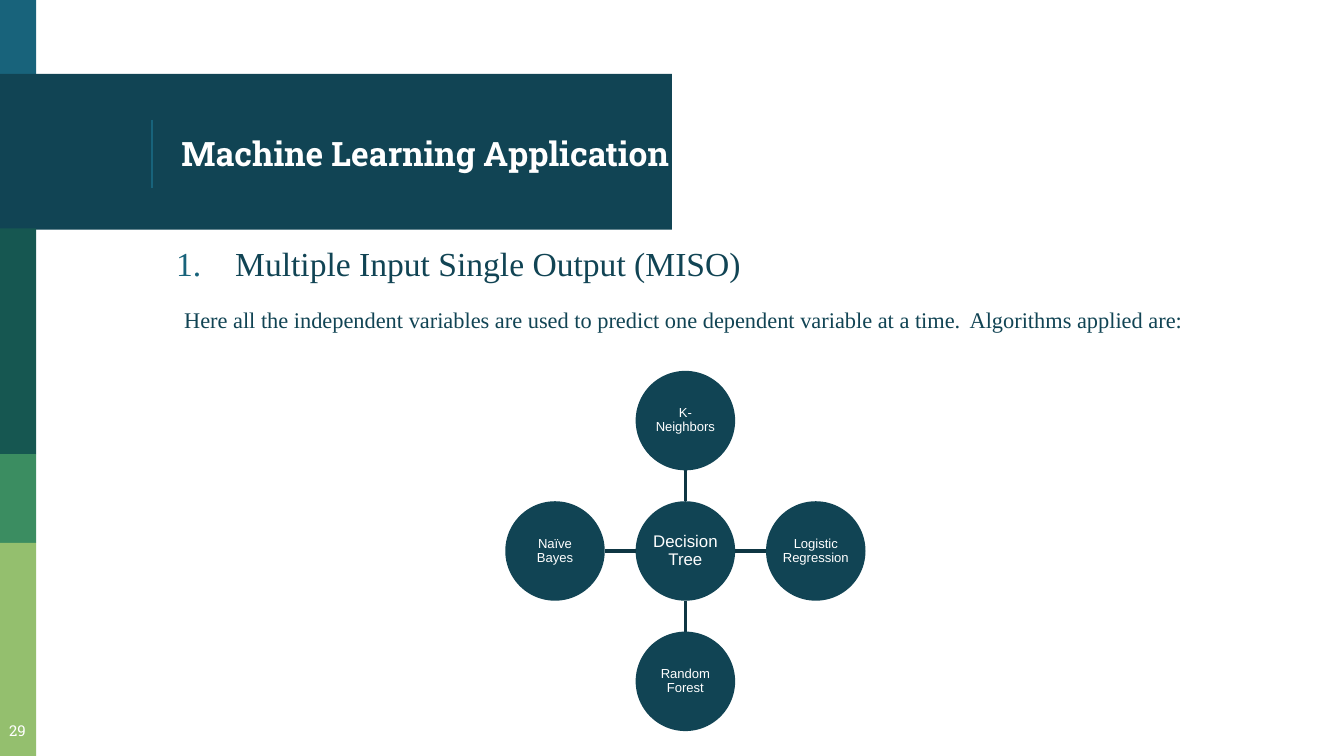
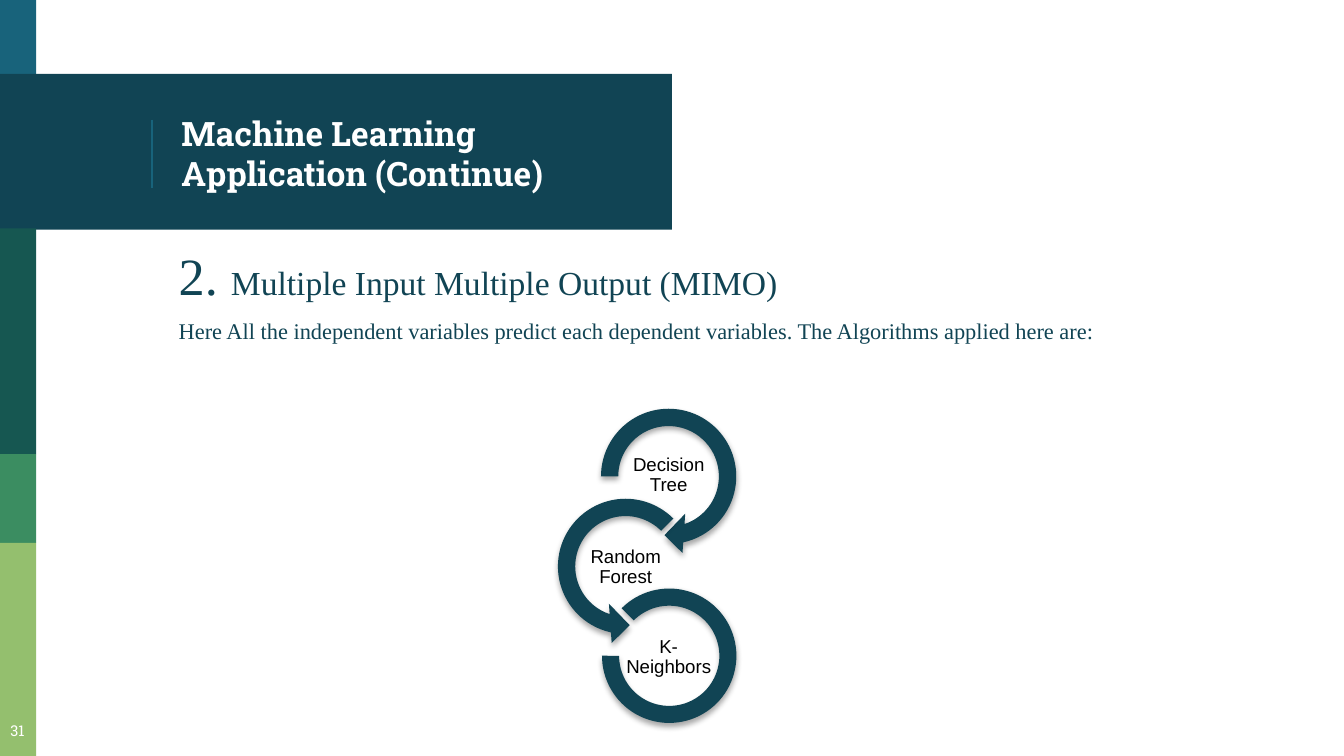
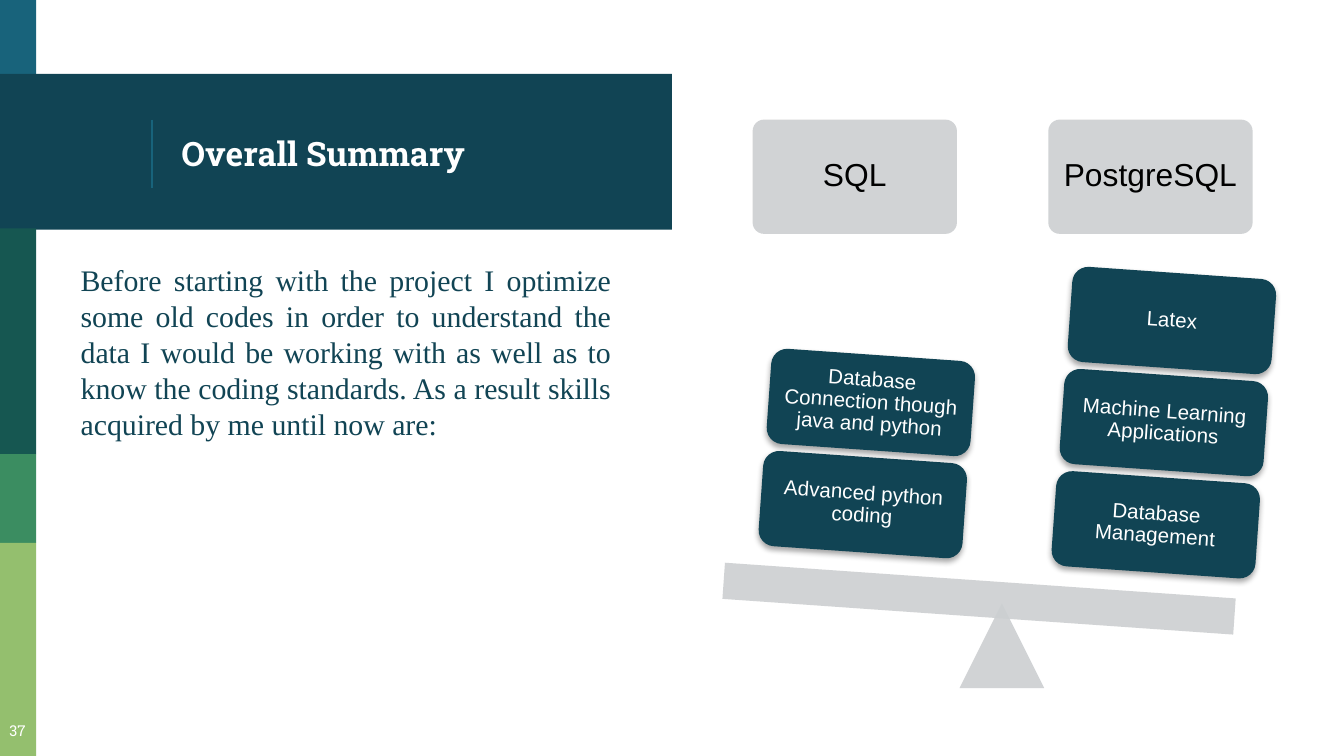
from dataclasses import dataclass

from lxml import etree
from pptx import Presentation
from pptx.dml.color import RGBColor
from pptx.enum.shapes import MSO_CONNECTOR, MSO_SHAPE
from pptx.enum.text import MSO_ANCHOR, MSO_AUTO_SIZE, PP_ALIGN
from pptx.oxml.ns import qn
from pptx.util import Inches, Pt

RECT, OVAL = MSO_SHAPE.RECTANGLE, MSO_SHAPE.OVAL
ROUND_RECT, TRIANGLE = MSO_SHAPE.ROUNDED_RECTANGLE, MSO_SHAPE.ISOSCELES_TRIANGLE
ARROW, LEFT_ARROW = MSO_SHAPE.CIRCULAR_ARROW, MSO_SHAPE.LEFT_CIRCULAR_ARROW
ARC = MSO_SHAPE.BLOCK_ARC
STRAIGHT = MSO_CONNECTOR.STRAIGHT
LEFT, CENTER, JUSTIFY = PP_ALIGN.LEFT, PP_ALIGN.CENTER, PP_ALIGN.JUSTIFY
TOP, MIDDLE = MSO_ANCHOR.TOP, MSO_ANCHOR.MIDDLE
NO_FIT = MSO_AUTO_SIZE.NONE

BLUE, NAVY, PINE = "18637B", "114454", "165751"
GREEN, LIME = "3B8D61", "94BF6E"
SPOKE, GREY, WHITE, BLACK = "0E3643", "CCCFD1", "FFFFFF", "000000"
SLAB, SERIF, SANS = "Roboto Slab", "Times New Roman", "Arial"


@dataclass
class Box:
    x: float
    y: float
    w: float
    h: float

    def emu(self):
        return [Inches(v) for v in (self.x, self.y, self.w, self.h)]


@dataclass
class Band:
    box: Box
    color: str


@dataclass
class Run:
    text: str
    size: float


@dataclass
class Para:
    runs: list[Run]
    align: PP_ALIGN = LEFT
    left: float = 0.06
    before: float = 6
    numbered: bool = False


@dataclass
class Ring:
    kind: MSO_SHAPE
    box: Box
    adj: list[float]
    label: str
    label_x: float
    label_y: float


BANDS = [
    Band(Box(0, 0, 0.27, 0.58), BLUE),
    Band(Box(0, 0.55, 5, 1.16), NAVY),
    Band(Box(0, 1.7, 0.27, 1.68), PINE),
    Band(Box(0, 3.38, 0.27, 0.66), GREEN),
    Band(Box(0, 4.04, 0.27, 1.59), LIME),
]


def rgb(color):
    return RGBColor.from_string(color)


def set_attrs(obj, values):
    for name, value in values.items():
        setattr(obj, name, value)


def format_frame(tf, inset, anchor=TOP):
    margins = {f"margin_{side}": Inches(inset) for side in ("left", "right", "top", "bottom")}
    set_attrs(tf, {"word_wrap": True, "auto_size": NO_FIT, "vertical_anchor": anchor, **margins})


def add_run(p, text, size, font, color, bold=False):
    r = p.add_run()
    r.text = text
    set_attrs(r.font, {"size": Pt(size), "name": font, "bold": bold})
    r.font.color.rgb = rgb(color)


def write_label(tf, text, size, color, inset, font=SANS, spacing=0.9, anchor=MIDDLE):
    format_frame(tf, inset, anchor)
    p = tf.paragraphs[0]
    set_attrs(p, {"alignment": CENTER, "line_spacing": spacing})
    add_run(p, text, size, font, color)


def add_textbox(slide, box: Box, text, size, color, inset, **options):
    tf = slide.shapes.add_textbox(*box.emu()).text_frame
    write_label(tf, text, size, color, inset, **options)


def add_shadow(s):
    effects = s._element.spPr.find(qn("a:effectLst"))
    shadow = etree.SubElement(effects, qn("a:outerShdw"), blurRad="40000", dist="23000",
                              dir="5400000", rotWithShape="0")
    color = etree.SubElement(shadow, qn("a:srgbClr"), val=BLACK)
    etree.SubElement(color, qn("a:alpha"), val="35000")


def add_shape(slide, kind, box: Box, color, adj=(), rotation=0, opacity=100, shadow=False):
    s = slide.shapes.add_shape(kind, *box.emu())
    s.shadow.inherit = False
    s.fill.solid()
    s.fill.fore_color.rgb = rgb(color)
    s.line.fill.background()
    s.rotation = rotation
    for i, value in enumerate(adj):
        s.adjustments[i] = value
    if opacity < 100:
        fill = s._element.spPr.find(f"{qn('a:solidFill')}/{qn('a:srgbClr')}")
        etree.SubElement(fill, qn("a:alpha"), val=str(opacity * 1000))
    if shadow:
        add_shadow(s)
    return s


def add_line(slide, x1, y1, x2, y2, color, width):
    c = slide.shapes.add_connector(STRAIGHT, *[Inches(v) for v in (x1, y1, x2, y2)])
    c.line.color.rgb = rgb(color)
    c.line.width = Pt(width)
    etree.SubElement(c._element.spPr, qn("a:effectLst"))


def place(sp, box: Box):
    set_attrs(sp, dict(zip(("left", "top", "width", "height"), box.emu())))


def set_bullet(p, para: Para):
    pPr = p._p.get_or_add_pPr()
    hanging = 0.44 if para.numbered else 0
    pPr.set("marL", str(Inches(para.left)))
    pPr.set("indent", str(-Inches(hanging)))
    if para.numbered:
        color = etree.SubElement(pPr, qn("a:buClr"))
        etree.SubElement(color, qn("a:srgbClr"), val=BLUE)
        etree.SubElement(pPr, qn("a:buAutoNum"), type="arabicPeriod")
    else:
        etree.SubElement(pPr, qn("a:buNone"))


def fill_body(body, box: Box, paras: list[Para]):
    place(body, box)
    tf = body.text_frame
    format_frame(tf, 0.1)
    for i, para in enumerate(paras):
        p = tf.add_paragraph() if i else tf.paragraphs[0]
        set_bullet(p, para)
        set_attrs(p, {"alignment": para.align, "line_spacing": 1.0,
                      "space_before": Pt(para.before if i else 0)})
        for run in para.runs:
            add_run(p, run.text, run.size, SERIF, NAVY)


def add_base_slide(prs, title, title_width, number, body_box: Box, paras: list[Para]):
    """Add a slide with side bands, title, body text and page number."""
    slide = prs.slides.add_slide(prs.slide_layouts[1])
    heading, body = slide.placeholders
    for band in BANDS:
        add_shape(slide, RECT, band.box, band.color)
    add_line(slide, 1.13, 0.89, 1.13, 1.4, BLUE, 0.75)
    for sp in (heading, body):
        slide.shapes._spTree.append(sp._element)

    place(heading, Box(1.25, 0.58, title_width, 1.12))
    format_frame(heading.text_frame, 0.1, MIDDLE)
    p = heading.text_frame.paragraphs[0]
    set_attrs(p, {"alignment": LEFT, "line_spacing": 1.0})
    add_run(p, title, 18, SLAB, WHITE, bold=True)

    fill_body(body, body_box, paras)
    add_textbox(slide, Box(-0.06, 5.27, 0.38, 0.35), number, 8, WHITE, 0.1,
                font=SLAB, spacing=1.0, anchor=TOP)
    return slide


def add_miso_slide(prs):
    slide = add_base_slide(prs, "Machine Learning Application", 3.9, "29",
                           Box(1.15, 1.71, 8.25, 3.45), [
        Para([Run("Multiple Input Single Output (MISO)", 18)], JUSTIFY, 0.5, numbered=True),
        Para([Run("Here all the independent variables are used to predict one dependent "
                  "variable at a time.", 12),
              Run(" ", 16),
              Run("Algorithms applied are:", 12)], JUSTIFY, 0.12, 8),
    ])
    cx, cy, radius, reach = 5.1, 4.1, 0.37, 0.97

    def add_node(x, y, text, size):
        box = Box(x - radius, y - radius, 2 * radius, 2 * radius)
        write_label(add_shape(slide, OVAL, box, NAVY).text_frame, text, size, WHITE, 0)

    add_node(cx, cy, "Decision Tree", 9)
    spokes = [("K-Neighbors", 0, -1), ("Logistic Regression", 1, 0),
              ("Random Forest", 0, 1), ("Naïve Bayes", -1, 0)]
    for text, dx, dy in spokes:
        near, far = radius, reach - radius
        add_line(slide, cx + dx * near, cy + dy * near, cx + dx * far, cy + dy * far, SPOKE, 2)
        add_node(cx + dx * reach, cy + dy * reach, text, 7)


def add_mimo_slide(prs):
    slide = add_base_slide(prs, "Machine Learning Application (Continue)", 3.76, "31",
                           Box(1.17, 1.71, 8.25, 3.45), [
        Para([Run("2. ", 28), Run("Multiple Input Multiple Output (MIMO)", 18)]),
        Para([Run("Here All the independent variables predict each dependent variables. "
                  "The Algorithms applied here are:", 12)]),
    ])
    rings = [
        Ring(ARROW, Box(4.39, 2.96, 1.17, 1.17), [0.11, 11.42, 45, 108, 0.125],
             "Decision Tree", 4.65, 3.38),
        Ring(LEFT_ARROW, Box(4.07, 3.63, 1.17, 1.17), [0.11, 11.42, 63, 189, 0.125],
             "Random Forest", 4.33, 4.06),
        Ring(ARC, Box(4.48, 4.38, 1, 1), [135, 108, 0.127], "K-Neighbors", 4.65, 4.73),
    ]
    for ring in rings:
        add_shape(slide, ring.kind, ring.box, NAVY, ring.adj, shadow=True)
        add_textbox(slide, Box(ring.label_x, ring.label_y, 0.65, 0.32), ring.label,
                    10, BLACK, 0.01)


def add_summary_slide(prs):
    slide = add_base_slide(prs, "Overall Summary", 3.51, "37", Box(0.44, 1.85, 4.21, 3.45), [
        Para([Run("Before starting with the project I optimize some old codes in order to "
                  "understand the data I would be working with as well as to know the coding "
                  "standards. As a result skills acquired by me until now are:", 16)], JUSTIFY),
    ])
    tilt, width = 4, 1.52
    for text, x in (("SQL", 5.6), ("PostgreSQL", 7.8)):
        s = add_shape(slide, ROUND_RECT, Box(x, 0.89, width, 0.85), GREY, [0.1], opacity=90)
        write_label(s.text_frame, text, 17, BLACK, 0.07)
    add_shape(slide, TRIANGLE, Box(7.14, 4.49, 0.63, 0.63), GREY, opacity=90)
    add_shape(slide, RECT, Box(5.38, 4.32, 3.81, 0.27), GREY, rotation=tilt, opacity=90)

    stacks = [
        (7.84, 3.55, ["Database Management", "Machine Learning Applications", "Latex"]),
        (5.66, 3.4, ["Advanced python coding", "Database Connection though java and python"]),
    ]
    step_x, step_y = 0.06, 0.76
    for x, y, skills in stacks:
        for level, skill in enumerate(skills):
            box = Box(x + step_x * level, y - step_y * level, width, 0.71)
            s = add_shape(slide, ROUND_RECT, box, NAVY, rotation=tilt, shadow=True)
            write_label(s.text_frame, skill, 11, WHITE, 0.05)


def main():
    prs = Presentation()
    prs.slide_width = Inches(10)
    prs.slide_height = prs.slide_width * 9 // 16
    add_miso_slide(prs)
    add_mimo_slide(prs)
    add_summary_slide(prs)
    prs.save("out.pptx")


if __name__ == "__main__":
    main()
